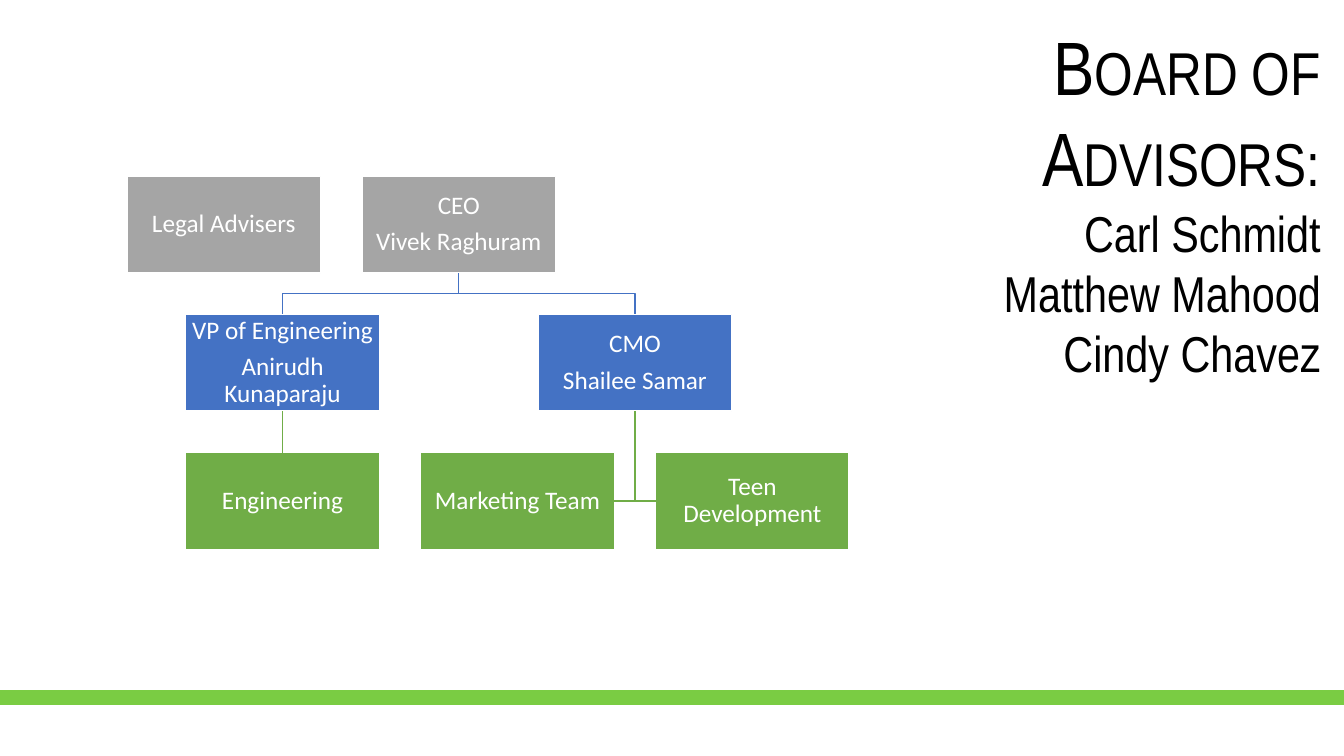
from dataclasses import dataclass

from pptx import Presentation
from pptx import util as u
from pptx.dml.color import RGBColor
from pptx.enum import shapes, text
from pptx.oxml.ns import qn


@dataclass(frozen=True)
class Theme:
    """Colours, fonts and type sizes of the slide."""
    black: str = "000000"
    white: str = "FFFFFF"
    grey: str = "A5A5A5"
    blue: str = "4472C4"
    green: str = "70AD47"
    bar: str = "7ACC43"
    title_font: str = "Arial Narrow"
    box_font: str = "Calibri"
    heading: int = 54
    names: int = 36
    label: int = 18


class OrgSlide:
    """Draws the elements of an organisation chart on one slide."""

    left, top, pitch_x, pitch_y = 1.26, 1.75, 2.33, 1.37
    box_w, box_h = 1.92, 0.96

    def __init__(self, prs, theme):
        self.t = theme
        self.s = prs.slides.add_slide(prs.slide_layouts[5])

    def style(self, p, font, size, color, align):
        p.alignment = align
        for r in p.runs:
            r.font.name = font
            r.font.size = u.Pt(size)
            r.font.color.rgb = RGBColor.from_string(color)

    def stroke(self, sp, color, width=1):
        sp.line.color.rgb = RGBColor.from_string(color)
        sp.line.width = u.Pt(width)

    def title(self, heading, names, x, y, w, h):
        sp = self.s.shapes.title
        sp.left, sp.top, sp.width, sp.height = map(u.Inches, (x, y, w, h))
        tf = sp.text_frame
        tf.text = "\n".join([heading, *names])
        tf.word_wrap = True
        tf.auto_size = text.MSO_AUTO_SIZE.SHAPE_TO_FIT_TEXT
        tf.vertical_anchor = text.MSO_ANCHOR.TOP
        for i, p in enumerate(tf.paragraphs):
            size = self.t.names if i else self.t.heading
            self.style(p, self.t.title_font, size, self.t.black, text.PP_ALIGN.RIGHT)
        tf.paragraphs[0].runs[0].font._element.set("cap", "small")

    def box(self, label, col, row, color):
        x, y = self.left + col * self.pitch_x, self.top + row * self.pitch_y
        sp = self.s.shapes.add_shape(
            shapes.MSO_SHAPE.RECTANGLE, *map(u.Inches, (x, y, self.box_w, self.box_h)))
        sp.shadow.inherit = False
        sp.fill.solid()
        sp.fill.fore_color.rgb = RGBColor.from_string(color)
        self.stroke(sp, self.t.white)
        tf = sp.text_frame
        tf.text = label
        tf.word_wrap = True
        tf.vertical_anchor = text.MSO_ANCHOR.MIDDLE
        tf.margin_left = tf.margin_right = tf.margin_top = tf.margin_bottom = u.Inches(0.01)
        for i, p in enumerate(tf.paragraphs):
            self.style(p, self.t.box_font, self.t.label, self.t.white, text.PP_ALIGN.CENTER)
            p.line_spacing = 0.9
            p.space_before = u.Pt(6.3 if i else 0)
        return sp

    def line(self, start, end, color, width=1):
        c = self.s.shapes.add_connector(
            shapes.MSO_CONNECTOR.STRAIGHT, *map(u.Inches, (*start, *end)))
        c._element.spPr.append(c._element.makeelement(qn("a:effectLst"), {}))
        self.stroke(c, color, width)
        return c

    def join(self, parent, child, color):
        c = self.line((0, 0), (0, 0), color)
        c.begin_connect(parent, 2)
        c.end_connect(child, 0)

    def route(self, points, color):
        fb = self.s.shapes.build_freeform(*points[0])
        fb.add_line_segments(points[1:], close=False)
        sp = fb.convert_to_shape()
        sp.shadow.inherit = False
        sp.fill.background()
        self.stroke(sp, color)

    def elbow(self, parent, child, color):
        x1, x2 = (b.left + b.width // 2 for b in (parent, child))
        y1, y2 = parent.top + parent.height, child.top
        mid = (y1 + y2) // 2
        self.route([(x1, y1), (x1, mid), (x2, mid), (x2, y2)], color)

    def side(self, parent, child, color):
        x = parent.left + parent.width // 2
        y = child.top + child.height // 2
        edge = child.left if child.left > x else child.left + child.width
        self.route([(x, parent.top + parent.height), (x, y), (edge, y)], color)


def main():
    prs = Presentation()
    prs.slide_width, prs.slide_height = u.Inches(13.33), u.Inches(7.5)
    t = Theme()
    org = OrgSlide(prs, t)
    org.title("Board of Advisors:", ["Carl Schmidt", "Matthew Mahood", "Cindy Chavez"],
              8.14, 0.15, 5.06, 3.23)

    org.box("Legal Advisers", 0, 0, t.grey)
    ceo = org.box("CEO\nVivek Raghuram", 1, 0, t.grey)
    vp = org.box("VP of Engineering\nAnirudh Kunaparaju", 0.25, 1, t.blue)
    cmo = org.box("CMO\nShailee Samar", 1.75, 1, t.blue)
    engineering = org.box("Engineering", 0.25, 2, t.green)
    marketing = org.box("Marketing Team", 1.25, 2, t.green)
    teen = org.box("Teen Development", 2.25, 2, t.green)

    for chief in (vp, cmo):
        org.elbow(ceo, chief, t.blue)
    org.join(vp, engineering, t.green)
    for team in (marketing, teen):
        org.side(cmo, team, t.green)

    org.line((0, 6.92), (13.33, 6.92), t.bar, 10)
    prs.save("out.pptx")


if __name__ == "__main__":
    main()
